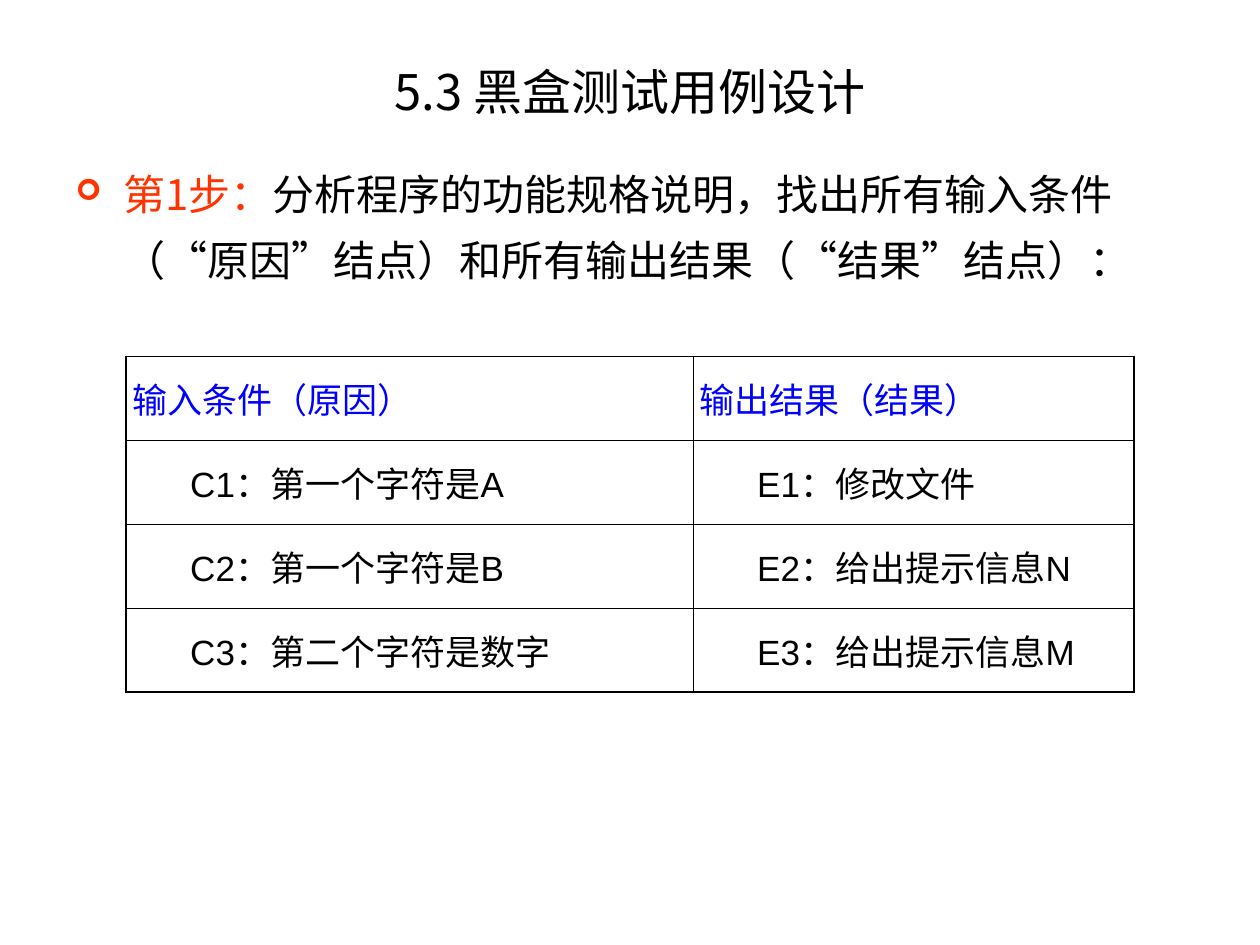
"""Build the slide on black-box test case design with its cause and effect table."""
from lxml.etree import SubElement
from pptx import Presentation
from pptx.dml.color import RGBColor
from pptx.enum.text import MSO_ANCHOR as Anchor, MSO_AUTO_SIZE as AutoSize, PP_ALIGN as Align
from pptx.oxml.ns import qn
from pptx.util import Inches, Pt

COLORS = {"text": "000000", "accent": "FF3300", "header": "0000FF"}
CJK = "Noto Sans CJK SC"
LATIN = "Arial"


class SlideBuilder:
    def __init__(self, slide):
        self.slide = slide

    def format_run(self, run, size, color, font=CJK):
        run.font.size = Pt(size)
        run.font.name = font
        run.font.color.rgb = RGBColor.from_string(COLORS[color])
        SubElement(run.font._element, qn("a:ea"), typeface=CJK)

    def place(self, holder, left, top, width, height, anchor):
        holder.left, holder.top = Inches(left), Inches(top)
        holder.width, holder.height = Inches(width), Inches(height)
        frame = holder.text_frame
        frame.auto_size = AutoSize.NONE
        frame.word_wrap = True
        frame.vertical_anchor = anchor
        return frame.paragraphs[0]

    def title(self, text, box, size):
        heading = self.place(self.slide.shapes.title, *box, Anchor.MIDDLE)
        heading.text = text
        heading.alignment = Align.CENTER
        self.format_run(heading.runs[0], size, "text")

    def bullet(self, parts, box, size):
        step = self.place(self.slide.placeholders[1], *box, Anchor.TOP)
        step.line_spacing = 1.3
        step.space_before = Pt(15)
        for text, color in parts:
            run = step.add_run()
            run.text = text
            self.format_run(run, size, color)
        props = step._p.get_or_add_pPr()
        props.set("marL", str(Inches(0.38)))
        props.set("indent", str(-Inches(0.38)))
        bullet_color = SubElement(props, qn("a:buClr"))
        SubElement(bullet_color, qn("a:srgbClr"), val=COLORS["accent"])
        SubElement(props, qn("a:buSzPct"), val="70000")
        SubElement(props, qn("a:buFont"), typeface="Wingdings")
        SubElement(props, qn("a:buChar"), char="➢")

    def border(self, cell, side, width):
        line = SubElement(cell._tc.get_or_add_tcPr(), qn(f"a:ln{side}"), w=str(Pt(width)))
        fill = SubElement(line, qn("a:solidFill"))
        SubElement(fill, qn("a:srgbClr"), val=COLORS["text"])

    def cell(self, cell, text, size, is_header, outer_sides):
        cell.margin_left = cell.margin_right = Inches(0.05)
        cell.margin_top = cell.margin_bottom = Inches(0.05)
        cell.vertical_anchor = Anchor.MIDDLE
        for side in "LRTB":
            self.border(cell, side, 1.08 if side in outer_sides else 0.45)
        cell.fill.background()
        entry = cell.text_frame.paragraphs[0]
        entry.text = text
        entry.space_before = Pt(5)
        if is_header:
            self.format_run(entry.runs[0], size, "header")
        else:
            entry._p.get_or_add_pPr().set("marL", str(Inches(0.46)))
            self.format_run(entry.runs[0], size, "text", LATIN)

    def table(self, rows, left, top, widths, row_height, size):
        frame = self.slide.shapes.add_table(
            len(rows), len(widths), Inches(left), Inches(top),
            Inches(sum(widths)), Inches(row_height * len(rows)))
        grid = frame.table
        grid.first_row = grid.horz_banding = False
        for column, width in zip(grid.columns, widths):
            column.width = Inches(width)
        last_row, last_column = len(rows) - 1, len(widths) - 1
        for r, entries in enumerate(rows):
            grid.rows[r].height = Inches(row_height)
            for c, text in enumerate(entries):
                edges = {"L": c == 0, "R": c == last_column, "T": r == 0, "B": r == last_row}
                outer_sides = [side for side, is_outer in edges.items() if is_outer]
                self.cell(grid.cell(r, c), text, size, r == 0, outer_sides)


deck = Presentation()
deck.slide_width, deck.slide_height = Inches(10), Inches(7.5)
builder = SlideBuilder(deck.slides.add_slide(deck.slide_layouts[1]))

builder.title("5.3 黑盒测试用例设计", (0.5, 0.33, 9, 0.78), 28)
builder.bullet([
    ("第1步：", "accent"),
    ("分析程序的功能规格说明，找出所有输入条件（“原因”结点）和所有输出结果（“结果”结点）：", "text"),
], (0.5, 1.17, 9, 5.54), 24)

causes_and_effects = [
    ("输入条件（原因）", "输出结果（结果）"),
    ("C1：第一个字符是A", "E1：修改文件"),
    ("C2：第一个字符是B", "E2：给出提示信息N"),
    ("C3：第二个字符是数字", "E3：给出提示信息M"),
]
builder.table(causes_and_effects, 1, 2.83, (4.5, 3.5), 0.665, 20)

deck.save("out.pptx")
